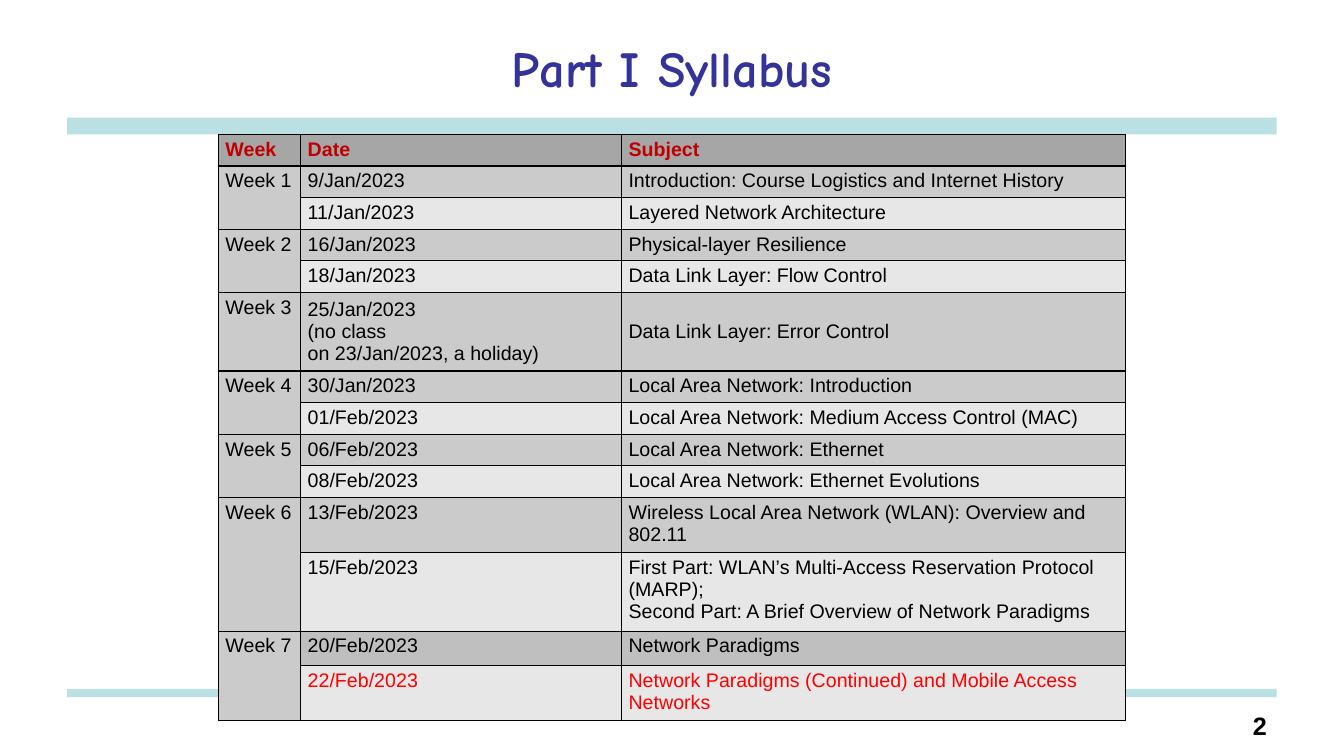
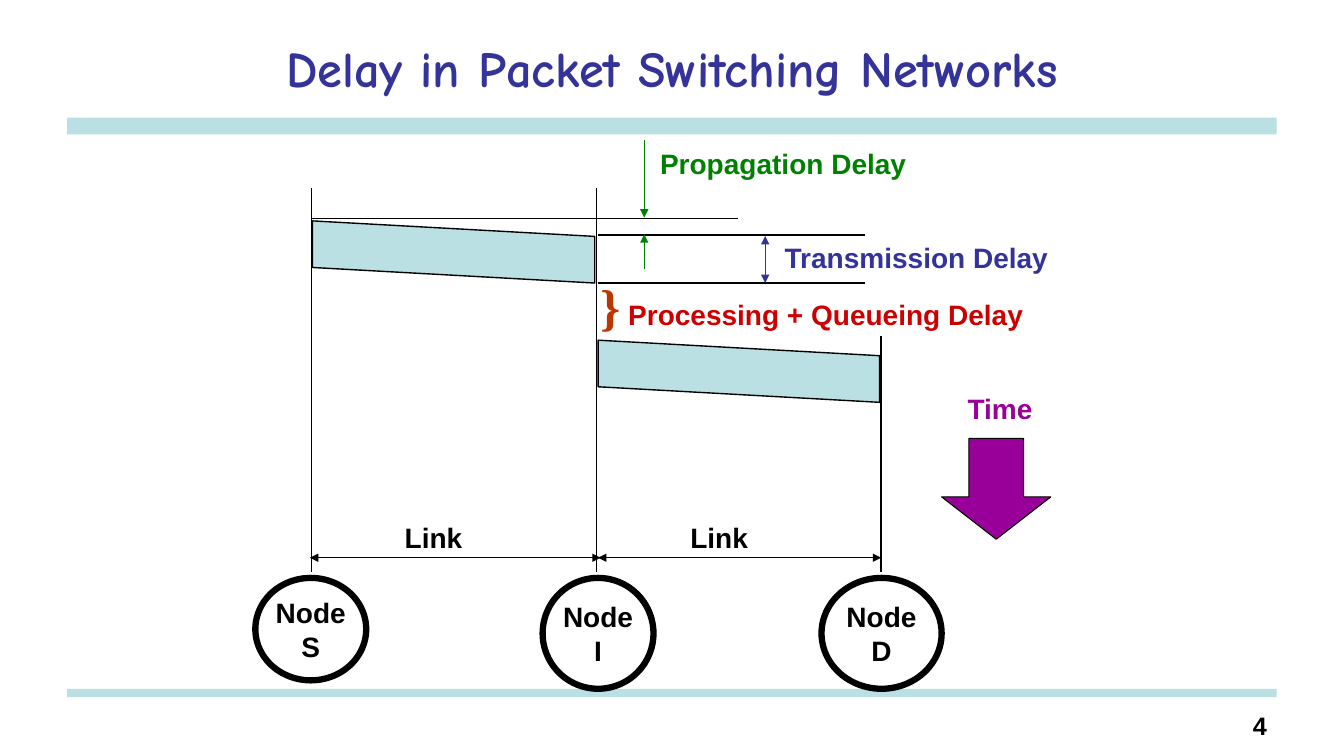
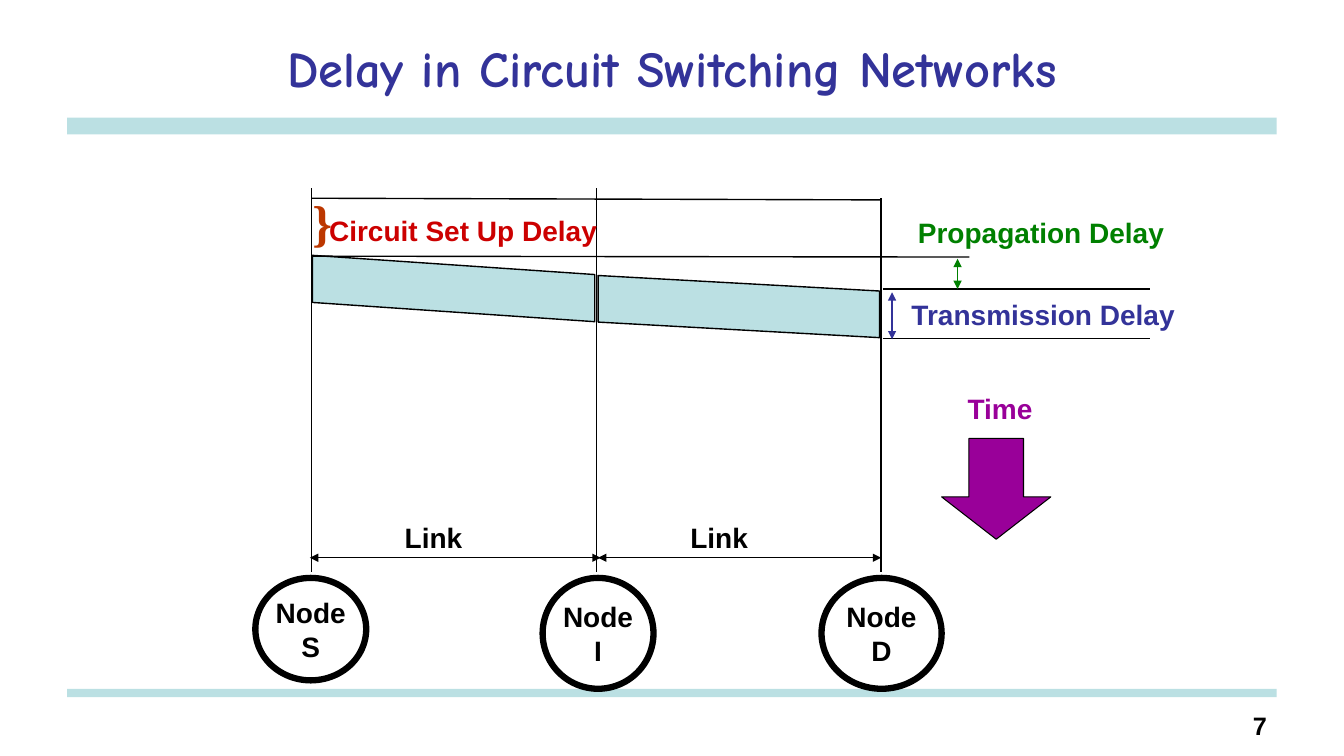
"""Three lecture slides: a syllabus table and two network delay diagrams."""
from dataclasses import dataclass
from typing import Any, Optional

from pptx import Presentation
from pptx import util as u
from pptx.dml.color import RGBColor
from pptx.enum import shapes, text
from pptx.oxml import parse_xml
from pptx.oxml.ns import nsdecls

BLACK = RGBColor(0x00, 0x00, 0x00)
TEAL = RGBColor(0xBB, 0xE0, 0xE3)
INDIGO = RGBColor(0x33, 0x33, 0x99)
GREEN = RGBColor(0x00, 0x80, 0x00)
CRIMSON = RGBColor(0xCC, 0x00, 0x00)
RUST = RGBColor(0xBC, 0x37, 0x00)
PURPLE = RGBColor(0x99, 0x00, 0x99)
HEADING_RED = RGBColor(0xC0, 0x00, 0x00)
LATEST_RED = RGBColor(0xFF, 0x00, 0x00)
HEADING_GREY = RGBColor(0xA6, 0xA6, 0xA6)
FIRST_GREY = RGBColor(0xCB, 0xCB, 0xCB)
SECOND_GREY = RGBColor(0xE7, 0xE7, 0xE7)
CURRENT_GREY = RGBColor(0xBF, 0xBF, 0xBF)

# The slide is a grid of 160 columns by 90 rows; a grid step is 1/12 inch.
COLUMNS, ROWS, STEPS_PER_INCH = 160, 90, 12
MARGIN, BODY_WIDTH = 8, 144
S_AXIS, I_AXIS, D_AXIS = 37.1, 71, 104.9
AXIS_TOP, AXIS_FOOT, LINK_ROW = 22.4, 68.1, 66.4
LABEL_HEIGHT = 5.2
SESSION_HEIGHT = 3.7

LEFT, CENTER, RIGHT = text.PP_ALIGN.LEFT, text.PP_ALIGN.CENTER, text.PP_ALIGN.RIGHT
TOP, MIDDLE = text.MSO_ANCHOR.TOP, text.MSO_ANCHOR.MIDDLE
SHAPE = shapes.MSO_SHAPE
CELL_FORMAT = {
    "margin_left": u.Inches(0.07), "margin_right": u.Inches(0.07),
    "margin_top": u.Inches(0.04), "margin_bottom": u.Inches(0.04),
}


@dataclass(frozen=True)
class Label:
    """A piece of text placed on the grid."""
    words: str
    left: float
    top: float
    width: float
    height: float = LABEL_HEIGHT
    color: RGBColor = BLACK
    size: float = 20
    font: str = "Arial"
    align: Any = LEFT
    anchor: Any = TOP
    wrap: bool = False


@dataclass(frozen=True)
class Rule:
    """A straight line with optional arrowheads at either end."""
    x1: float
    y1: float
    x2: float
    y2: float
    color: RGBColor = BLACK
    head: bool = False
    tail: bool = False


@dataclass(frozen=True)
class Packet:
    """A packet sloping down as it travels along a link."""
    left: float
    top: float
    width: float
    height: float
    slant: float


@dataclass(frozen=True)
class Node:
    """A network node drawn as a ring."""
    name: str
    left: float
    width: float
    height: float


@dataclass(frozen=True)
class Session:
    """One class meeting."""
    date: str
    subject: str
    height: float = SESSION_HEIGHT
    fill: Optional[RGBColor] = None
    color: RGBColor = BLACK
    anchor: Any = TOP


NODE_TOP = 68.8
NODES = (Node("S", 30.4, 13.2, 12.2), Node("I", 64.6, 13.2, 13.2),
         Node("D", 97.8, 14.3, 13.2))

WEEKS = (
    (Session("9/Jan/2023",
             "Introduction: Course Logistics and Internet\u00a0History"),
     Session("11/Jan/2023", "Layered Network Architecture")),
    (Session("16/Jan/2023", "Physical-layer Resilience"),
     Session("18/Jan/2023", "Data Link Layer: Flow Control")),
    (Session("25/Jan/2023\v(no class on\u00a023/Jan/2023,\u00a0a\u00a0holiday)",
             "Data Link Layer: Error\u00a0Control", 7.6, anchor=MIDDLE),),
    (Session("30/Jan/2023", "Local Area Network: Introduction"),
     Session("01/Feb/2023", "Local Area Network: Medium Access Control (MAC)")),
    (Session("06/Feb/2023", "Local Area Network:\u00a0Ethernet"),
     Session("08/Feb/2023", "Local Area Network:\u00a0Ethernet Evolutions")),
    (Session("13/Feb/2023",
             "Wireless Local Area Network (WLAN): Overview and 802.11"),
     Session("15/Feb/2023",
             "First Part: WLAN’s Multi-Access Reservation Protocol (MARP);\n"
             "Second Part: A Brief Overview of Network\u00a0Paradigms", 8.9)),
    (Session("20/Feb/2023", "Network Paradigms", 4.1, CURRENT_GREY),
     Session("22/Feb/2023",
             "Network Paradigms (Continued) and Mobile Access Networks",
             1.2, color=LATEST_RED)),
)


def grid(steps: float) -> u.Length:
    """Turn grid steps into a length."""
    return u.Inches(steps / STEPS_PER_INCH)


def apply(target: Any, values: dict[str, Any]) -> None:
    """Set each named attribute on the target."""
    for name, value in values.items():
        setattr(target, name, value)


def write(frame: Any, words: str, color: RGBColor, size: float,
          font: str = "Arial", align: Any = LEFT, bold: bool = True) -> None:
    """Fill a text frame with evenly styled text."""
    frame.text = words
    for paragraph in frame.paragraphs:
        paragraph.alignment = align
        for run in paragraph.runs:
            apply(run.font, {"name": font, "size": u.Pt(size), "bold": bold})
            run.font.color.rgb = color


def add_label(slide: Any, label: Label) -> None:
    """Place a text box."""
    frame = slide.shapes.add_textbox(
        *map(grid, (label.left, label.top, label.width, label.height))).text_frame
    apply(frame, {"word_wrap": label.wrap, "vertical_anchor": label.anchor})
    write(frame, label.words, label.color, label.size, label.font, label.align)


def add_figure(slide: Any, kind: Any, left: float, top: float, width: float,
               height: float, fill: Optional[RGBColor] = None,
               line_width: float = 0, adjustments: tuple[float, ...] = ()) -> Any:
    """Place a preset shape with a plain fill and black outline."""
    figure = slide.shapes.add_shape(kind, *map(grid, (left, top, width, height)))
    figure.shadow.inherit = False
    if fill is None:
        figure.fill.background()
    else:
        figure.fill.solid()
        figure.fill.fore_color.rgb = fill
    if line_width:
        figure.line.color.rgb = BLACK
        figure.line.width = u.Pt(line_width)
    else:
        figure.line.fill.background()
    for index, value in enumerate(adjustments):
        figure.adjustments[index] = value
    return figure


def add_rule(slide: Any, rule: Rule) -> None:
    """Draw a thin line with its arrowheads."""
    connector = slide.shapes.add_connector(
        shapes.MSO_CONNECTOR.STRAIGHT,
        *map(grid, (rule.x1, rule.y1, rule.x2, rule.y2)))
    connector.line.color.rgb = rule.color
    connector.line.width = u.Pt(1)
    outline = connector.line._get_or_add_ln()
    for end, wanted in (("headEnd", rule.head), ("tailEnd", rule.tail)):
        if wanted:
            outline.append(parse_xml(
                f'<a:{end} {nsdecls("a")} type="triangle"/>'))
    connector._element.spPr.append(parse_xml(f'<a:effectLst {nsdecls("a")}/>'))


def add_packet(slide: Any, packet: Packet) -> None:
    """Draw a packet as a parallelogram turned on its side."""
    shift = (packet.width - packet.height) / 2
    figure = add_figure(slide, SHAPE.PARALLELOGRAM, packet.left + shift,
                        packet.top - shift, packet.height, packet.width,
                        TEAL, 1, (packet.slant,))
    figure.rotation = 90


def add_node(slide: Any, node: Node) -> None:
    """Draw a node ring with its name in the middle."""
    width, height = 10.8, 9.2
    add_figure(slide, SHAPE.OVAL, node.left, NODE_TOP, node.width, node.height,
               line_width=4.5)
    add_label(slide, Label(f"Node\n{node.name}",
                           node.left + (node.width - width) / 2,
                           NODE_TOP + (node.height - height) / 2,
                           width, height, align=CENTER))


def brace(left: float, top: float) -> Label:
    """Describe the brace that marks a waiting time."""
    return Label("}", left, top, 4.4, 8.4, RUST, 36, "Times New Roman",
                 CENTER, wrap=True)


def transmission(left: float, top: float) -> Label:
    """Describe the transmission delay caption."""
    return Label("Transmission Delay", left, top, 33.8, color=INDIGO,
                 align=CENTER, wrap=True)


def propagation(left: float, top: float) -> Label:
    """Describe the propagation delay caption."""
    return Label("Propagation Delay", left, top, 31.9, color=GREEN)


def start_slide(deck: Any, title: str, number: int) -> Any:
    """Add a slide with the shared bands, title and page number."""
    slide = deck.slides.add_slide(deck.slide_layouts[6])
    for top, height in ((14, 2), (82, 1)):
        add_figure(slide, SHAPE.RECTANGLE, MARGIN, top, BODY_WIDTH, height, TEAL)
    add_label(slide, Label(title, MARGIN, 2, BODY_WIDTH, 12, INDIGO, 36,
                           "Comic Neue", CENTER, MIDDLE, True))
    add_label(slide, Label(str(number), 141.3, 84, 10.7, 5, size=18,
                           align=RIGHT, wrap=True))
    return slide


def style_cell(cell: Any, words: str, fill: RGBColor, color: RGBColor = BLACK,
               bold: bool = False, anchor: Any = TOP) -> None:
    """Write a table cell with black borders and a plain fill."""
    apply(cell, {**CELL_FORMAT, "vertical_anchor": anchor})
    write(cell.text_frame, words, color, 14, bold=bold)
    properties = cell._tc.get_or_add_tcPr()
    for side in ("lnL", "lnR", "lnT", "lnB"):
        properties.append(parse_xml(
            f'<a:{side} {nsdecls("a")} w="{u.Pt(0.91)}"><a:solidFill>'
            f'<a:srgbClr val="{BLACK}"/></a:solidFill></a:{side}>'))
    cell.fill.solid()
    cell.fill.fore_color.rgb = fill


def add_syllabus(slide: Any) -> None:
    """Draw the table of weeks, dates and subjects."""
    widths = (9.8, 38.2, 60)
    heights = [SESSION_HEIGHT] + [s.height for week in WEEKS for s in week]
    syllabus = slide.shapes.add_table(
        len(heights), len(widths),
        *map(grid, (26, 16, sum(widths), sum(heights)))).table
    for column, width in zip(syllabus.columns, widths):
        column.width = grid(width)
    for row, height in zip(syllabus.rows, heights):
        row.height = grid(height)
    for column, heading in enumerate(("Week", "Date", "Subject")):
        style_cell(syllabus.cell(0, column), heading, HEADING_GREY,
                   HEADING_RED, True)
    row = 1
    for number, week in enumerate(WEEKS, 1):
        first_row = row
        for session, shade in zip(week, (FIRST_GREY, SECOND_GREY)):
            style_cell(syllabus.cell(row, 0),
                       f"Week {number}" if row == first_row else "", FIRST_GREY)
            for column, words in enumerate((session.date, session.subject), 1):
                style_cell(syllabus.cell(row, column), words,
                           session.fill or shade, session.color,
                           anchor=session.anchor)
            row += 1
        if len(week) > 1:
            syllabus.cell(first_row, 0).merge(syllabus.cell(row - 1, 0))


def add_delay_diagram(slide: Any, d_axis_top: float, packets: tuple[Packet, ...],
                      rules: tuple[Rule, ...], labels: tuple[Label, ...]) -> None:
    """Draw the nodes, links and time axis, then the delays of one network."""
    for node in NODES:
        add_node(slide, node)
    for packet in packets:
        add_packet(slide, packet)
    axes = tuple(Rule(x, top, x, AXIS_FOOT) for x, top in (
        (S_AXIS, AXIS_TOP), (I_AXIS, AXIS_TOP), (D_AXIS, d_axis_top)))
    links = tuple(Rule(x1, LINK_ROW, x2, LINK_ROW, head=True, tail=True)
                  for x1, x2 in ((36.9, 71.5), (71.2, D_AXIS)))
    for rule in axes + links + rules:
        add_rule(slide, rule)
    link_names = tuple(Label("Link", left, 61.4, 12.1, wrap=True)
                       for left in (47, 81))
    time = Label("Time", 114, 46, 10.2, color=PURPLE)
    for label in link_names + (time,) + labels:
        add_label(slide, label)
    add_figure(slide, SHAPE.DOWN_ARROW, 112.1, 52.2, 13, 12, PURPLE, 0.75,
               (0.5, 0.42))


def main() -> None:
    """Build and save the deck."""
    deck = Presentation()
    apply(deck, {"slide_width": grid(COLUMNS), "slide_height": grid(ROWS)})

    add_syllabus(start_slide(deck, "Part I Syllabus", 2))

    add_delay_diagram(
        start_slide(deck, "Delay in Packet Switching Networks", 4), 40,
        (Packet(37.2, 26.3, 33.6, 7.4, 0.25),
         Packet(71.2, 40.5, 33.5, 7.4, 0.25)),
        (Rule(37.2, 26, 87.8, 26), Rule(71.2, 28, 103, 28),
         Rule(71.2, 33.7, 103, 33.7),
         Rule(76.7, 16.7, 76.7, 25.9, GREEN, tail=True),
         Rule(76.7, 32, 76.7, 27.9, GREEN, tail=True),
         Rule(91.1, 28.1, 91.1, 33.7, INDIGO, True, True)),
        (propagation(77.4, 16.8), transmission(92.2, 28),
         Label("Processing + Queueing Delay", 73.6, 34.8, 49.8, color=CRIMSON),
         brace(70.3, 32.2)))

    add_delay_diagram(
        start_slide(deck, "Delay in Circuit Switching Networks", 7), 23.6,
        (Packet(37.2, 30.4, 33.6, 7.9, 0.29),
         Packet(71.2, 32.8, 33.5, 7.4, 0.25)),
        (Rule(S_AXIS, 23.6, D_AXIS, 23.8), Rule(S_AXIS, 30.5, 115.4, 30.6),
         Rule(105.1, 34.4, 136.9, 34.4), Rule(105.1, 40.3, 136.9, 40.3),
         Rule(114, 34.4, 114, 30.8, GREEN, True, True),
         Rule(106.2, 34.8, 106.2, 40.4, INDIGO, True, True)),
        (propagation(108.1, 25.1), transmission(107.3, 34.8),
         Label("Circuit Set Up Delay", 38, 24.8, 35.5, color=CRIMSON),
         brace(36, 22.2)))

    deck.save("out.pptx")


main()
